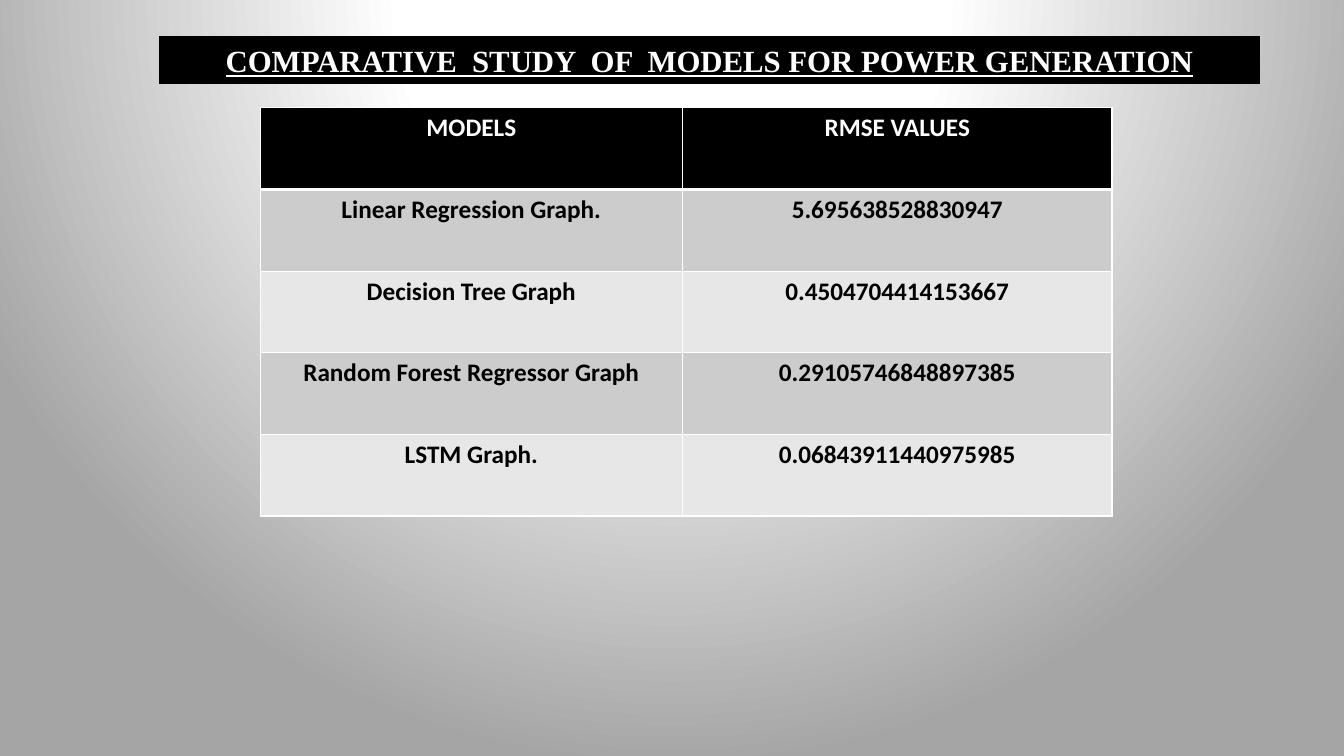
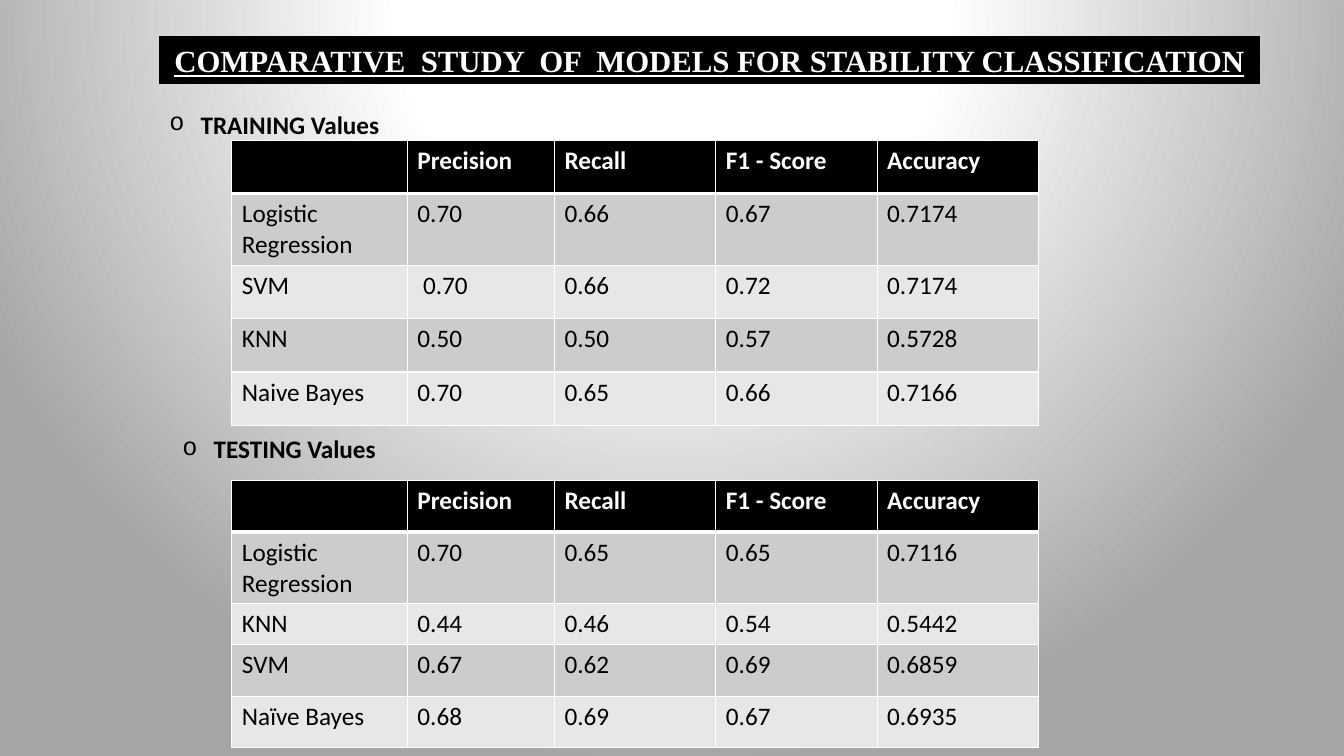
"""Build two slides comparing power generation and grid stability models."""
from lxml import etree
from pptx import Presentation
from pptx.dml.color import RGBColor as RGB
from pptx.enum.text import MSO_ANCHOR as Anchor, MSO_AUTO_SIZE as AutoSize, PP_ALIGN as Align
from pptx.oxml import parse_xml
from pptx.oxml.ns import nsdecls, qn
from pptx.util import Inches, Pt

COLORS = {"black": "000000", "white": "FFFFFF", "edge": "A5A5A5",
          "dark_band": "CCCCCC", "light_band": "E7E7E7"}
TITLE_FONT = {"name": "Times New Roman", "size": Pt(22), "bold": True, "underline": True}
BODY_FONT = {"name": "Calibri", "size": Pt(18)}
METRICS = ["", "Precision", "Recall", "F1 - Score", "Accuracy"]
METRIC_WIDTHS = [1.74, 1.46, 1.6, 1.6, 1.6]

SLIDES = [
    {"title": "COMPARATIVE  STUDY  OF  MODELS FOR POWER GENERATION",
     "layout": 5,
     "headings": [],
     "tables": [
         {"at": (2.58, 1.07), "widths": [4.19, 4.26], "heights": [0.81] * 5,
          "align": Align.CENTER, "bold": True,
          "rows": [["MODELS", "RMSE VALUES"],
                   ["Linear Regression Graph.", "5.695638528830947"],
                   ["Decision Tree Graph", "0.4504704414153667"],
                   ["Random Forest Regressor Graph", "0.29105746848897385"],
                   ["LSTM Graph.", "0.06843911440975985"]]}]},
    {"title": "COMPARATIVE  STUDY  OF  MODELS FOR STABILITY CLASSIFICATION",
     "layout": 4,
     "headings": [(1, "TRAINING Values", 1.58, 1.03), (3, "TESTING Values", 1.71, 4.25)],
     "tables": [
         {"at": (2.3, 1.39), "widths": METRIC_WIDTHS,
          "heights": [0.53, 0.69, 0.53, 0.53, 0.53],
          "align": Align.LEFT, "bold": False,
          "rows": [METRICS,
                   ["Logistic Regression", "0.70", "0.66", "0.67", "0.7174"],
                   ["SVM", " 0.70", "0.66", "0.72", "0.7174"],
                   ["KNN", "0.50", "0.50", "0.57", "0.5728"],
                   ["Naive Bayes", "0.70", "0.65", "0.66", "0.7166"]]},
         {"at": (2.3, 4.77), "widths": METRIC_WIDTHS,
          "heights": [0.51, 0.69, 0.4, 0.51, 0.51],
          "align": Align.LEFT, "bold": False,
          "rows": [METRICS,
                   ["Logistic Regression", "0.70", "0.65", "0.65", "0.7116"],
                   ["KNN", "0.44", "0.46", "0.54", "0.5442"],
                   ["SVM", "0.67", "0.62", "0.69", "0.6859"],
                   ["Naïve Bayes", "0.68", "0.69", "0.67", "0.6935"]]}]},
]


def write(paragraph, text, color, font_values):
    """Add one formatted run to a paragraph."""
    run = paragraph.add_run()
    run.text = text
    for attribute, value in font_values.items():
        setattr(run.font, attribute, value)
    run.font.color.rgb = RGB.from_string(COLORS[color])


def place(shape, left, top, width, height):
    """Move and size a shape, in inches."""
    box = {"left": left, "top": top, "width": width, "height": height}
    for attribute, value in box.items():
        setattr(shape, attribute, Inches(value))


prs = Presentation()
prs.slide_width, prs.slide_height = Inches(13.33), Inches(7.5)

stops = "".join(f'<a:gs pos="{position}"><a:srgbClr val="{COLORS[color]}"/></a:gs>'
                for position, color in [(0, "white"), (35000, "white"), (100000, "edge")])
backdrop = parse_xml(
    f'<p:bg {nsdecls("p", "a")}><p:bgPr><a:gradFill rotWithShape="1"><a:gsLst>{stops}</a:gsLst>'
    '<a:path path="circle"><a:fillToRect l="50000" t="-80000" r="50000" b="180000"/></a:path>'
    '</a:gradFill><a:effectLst/></p:bgPr></p:bg>')
master_content = prs.slide_master.element.find(qn("p:cSld"))
master_content.remove(master_content.find(qn("p:bg")))
master_content.insert(0, backdrop)

for content in SLIDES:
    slide = prs.slides.add_slide(prs.slide_layouts[content["layout"]])

    title = slide.shapes.title
    place(title, 1.58, 0.36, 10.91, 0.47)
    title.fill.solid()
    title.fill.fore_color.rgb = RGB.from_string(COLORS["black"])
    title.line.color.rgb = RGB.from_string(COLORS["black"])
    title.line.width = Pt(1)
    title_format = {"auto_size": AutoSize.NONE, "word_wrap": True,
                    "vertical_anchor": Anchor.MIDDLE,
                    "margin_left": Inches(0.05), "margin_right": Inches(0.05)}
    for attribute, value in title_format.items():
        setattr(title.text_frame, attribute, value)
    title_line = title.text_frame.paragraphs[0]
    title_line.alignment = Align.CENTER
    write(title_line, content["title"], "white", TITLE_FONT)

    for index, text, left, top in content["headings"]:
        heading = slide.placeholders[index]
        place(heading, left, top, 6.59, 0.4)
        heading.text_frame.auto_size = AutoSize.NONE
        heading.text_frame.vertical_anchor = Anchor.TOP
        heading_line = heading.text_frame.paragraphs[0]
        heading_line.space_before = Pt(0)
        write(heading_line, text, "black", {**BODY_FONT, "bold": True})
        bullet = heading_line._p.get_or_add_pPr()
        bullet.set("marL", str(Inches(0.31)))
        bullet.set("indent", str(-Inches(0.31)))
        etree.SubElement(bullet, qn("a:buFont")).set("typeface", "Courier New")
        etree.SubElement(bullet, qn("a:buChar")).set("char", "o")

    for placeholder in list(slide.placeholders):
        if not placeholder.text_frame.text:
            placeholder.element.getparent().remove(placeholder.element)

    for scores in content["tables"]:
        widths, heights, rows = scores["widths"], scores["heights"], scores["rows"]
        left, top = scores["at"]
        grid = slide.shapes.add_table(
            len(rows), len(widths), Inches(left), Inches(top),
            Inches(sum(widths)), Inches(sum(heights))).table
        for column, width in zip(grid.columns, widths):
            column.width = Inches(width)
        for row_number, (row, height, values) in enumerate(zip(grid.rows, heights, rows)):
            row.height = Inches(height)
            is_header = row_number == 0
            band = "black" if is_header else "dark_band" if row_number % 2 else "light_band"
            borders = {"lnL": 1, "lnR": 1, "lnT": 3 if row_number == 1 else 1,
                       "lnB": 3 if is_header else 1}
            for cell, value in zip(row.cells, values):
                cell_properties = cell._tc.get_or_add_tcPr()
                for side, points in borders.items():
                    cell_properties.append(parse_xml(
                        f'<a:{side} {nsdecls("a")} w="{Pt(points)}"><a:solidFill>'
                        f'<a:srgbClr val="{COLORS["white"]}"/></a:solidFill></a:{side}>'))
                cell.fill.solid()
                cell.fill.fore_color.rgb = RGB.from_string(COLORS[band])
                cell_line = cell.text_frame.paragraphs[0]
                cell_line.alignment = scores["align"]
                if value:
                    write(cell_line, value, "white" if is_header else "black",
                          {**BODY_FONT, "bold": is_header or scores["bold"]})

prs.save("out.pptx")
